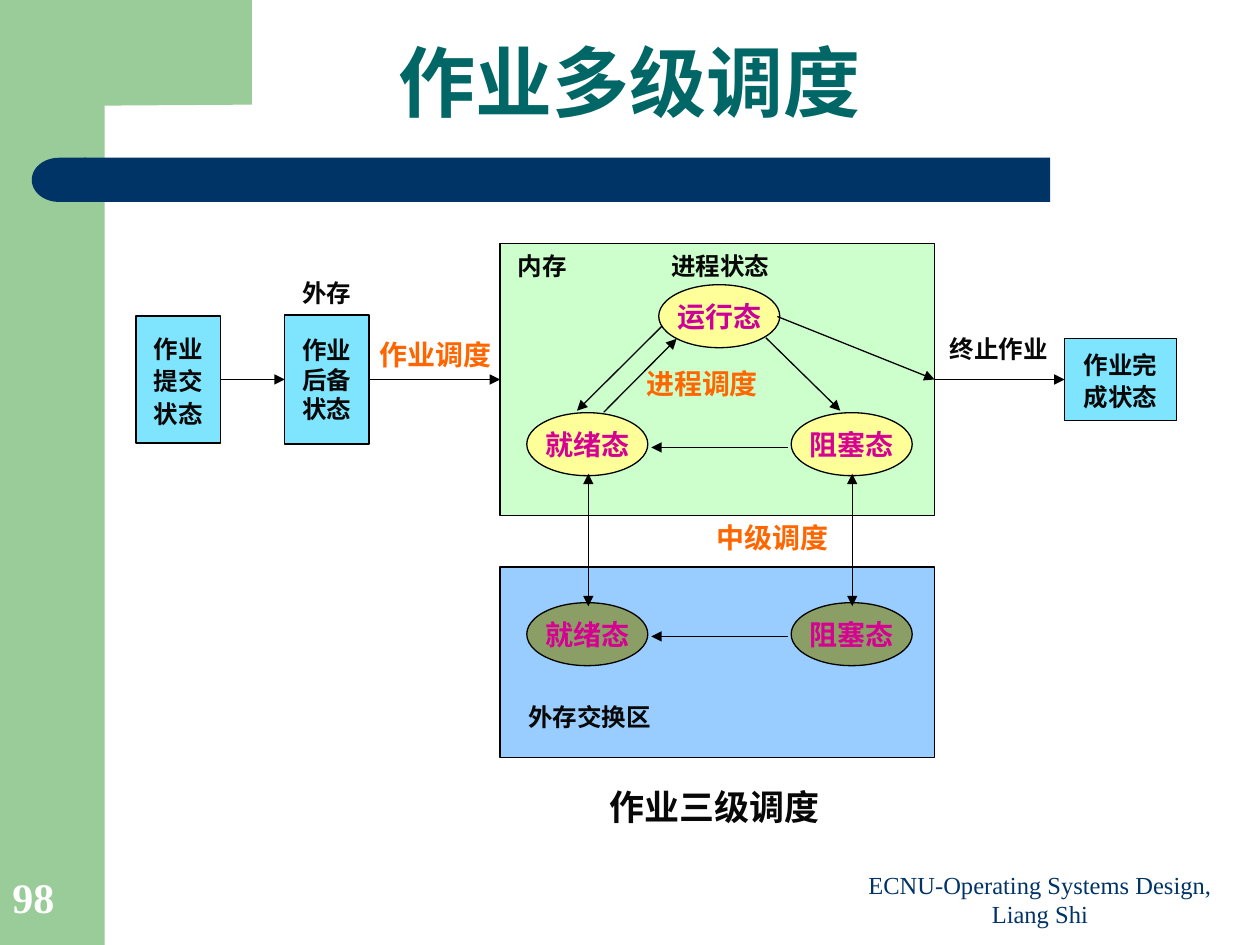
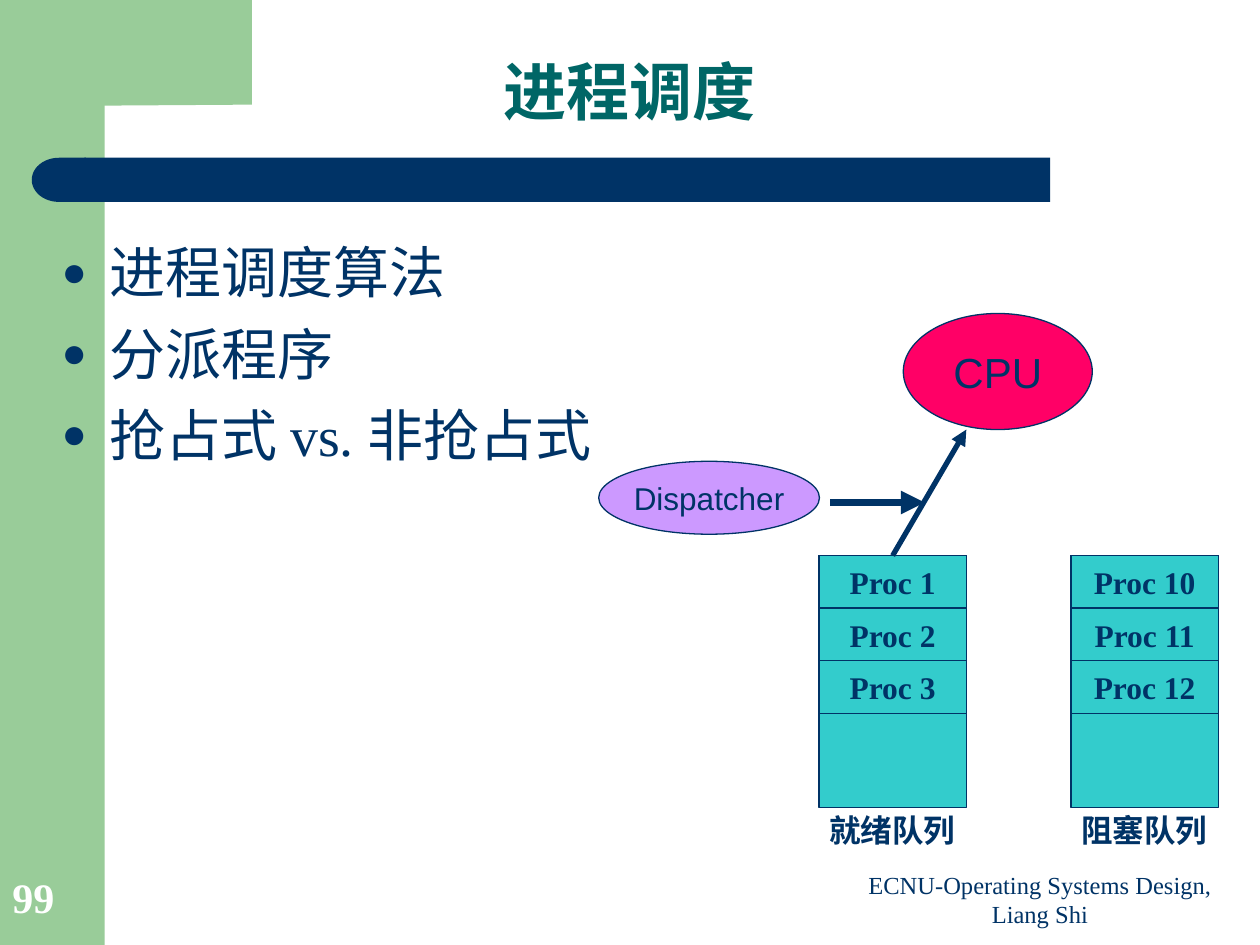
from lxml import etree
from pptx import Presentation
from pptx.dml.color import RGBColor
from pptx.enum.shapes import MSO_CONNECTOR, MSO_SHAPE
from pptx.enum.text import MSO_ANCHOR, MSO_AUTO_SIZE, PP_ALIGN
from pptx.oxml.ns import qn
from pptx.shapes.autoshape import Shape
from pptx.util import Cm, Pt

RECTANGLE, OVAL, DELAY = MSO_SHAPE.RECTANGLE, MSO_SHAPE.OVAL, MSO_SHAPE.FLOWCHART_DELAY
STRAIGHT = MSO_CONNECTOR.STRAIGHT
LEFT, CENTER = PP_ALIGN.LEFT, PP_ALIGN.CENTER
TOP, MIDDLE, BOTTOM = MSO_ANCHOR.TOP, MSO_ANCHOR.MIDDLE, MSO_ANCHOR.BOTTOM
NO_FIT = MSO_AUTO_SIZE.NONE
SIDE_TOP, SIDE_LEFT, SIDE_RIGHT = 0, 1, 3

NAVY = RGBColor(0x00, 0x33, 0x66)
GREEN = RGBColor(0x99, 0xCC, 0x99)
TEAL = RGBColor(0x00, 0x66, 0x66)
WHITE = RGBColor(0xFF, 0xFF, 0xFF)
BLACK = RGBColor(0x00, 0x00, 0x00)
INK = RGBColor(0x08, 0x08, 0x08)
ORANGE = RGBColor(0xFF, 0x66, 0x00)
MAGENTA = RGBColor(0xD6, 0x00, 0x93)
PURPLE = RGBColor(0xCC, 0x00, 0x99)
MEMORY_GREEN = RGBColor(0xCC, 0xFF, 0xCC)
SWAP_BLUE = RGBColor(0x99, 0xCC, 0xFF)
JOB_CYAN = RGBColor(0x00, 0xCC, 0xFF)
STATE_YELLOW = RGBColor(0xFF, 0xFF, 0x99)
OLIVE = RGBColor(0x80, 0x80, 0x00)
QUEUE_TEAL = RGBColor(0x33, 0xCC, 0xCC)
CPU_RED = RGBColor(0xFF, 0x00, 0x66)
LILAC = RGBColor(0xCC, 0x99, 0xFF)

SANS, SERIF, CHINESE = "Arial", "Times New Roman", "Noto Sans CJK SC"
TITLE_ONLY, TITLE_AND_BODY = 5, 1
FOOTER = "ECNU-Operating Systems Design, Liang Shi"


def write(para, text, size=14, font=SANS, color=INK, bold=False):
    """Append one formatted span to a paragraph."""
    span = para.add_run()
    span.text = text
    span.font.size = Pt(size)
    span.font.name = font
    span.font.bold = bold
    span.font.color.rgb = color
    properties = span.font._element
    etree.SubElement(properties, qn("a:ea"), typeface=CHINESE)


def place(shape, left, top, width, height):
    shape.left, shape.top = Cm(left), Cm(top)
    shape.width, shape.height = Cm(width), Cm(height)


def prepare(frame, anchor=TOP, wrap=False):
    frame.auto_size = NO_FIT
    frame.word_wrap = wrap
    frame.vertical_anchor = anchor
    return frame.paragraphs[0]


def add_bullet(para):
    properties = para._p.get_or_add_pPr()
    properties.set("marL", str(Cm(0.96)))
    properties.set("indent", str(-Cm(0.96)))
    color = etree.SubElement(properties, qn("a:buClr"))
    etree.SubElement(color, qn("a:srgbClr"), val=str(NAVY))
    etree.SubElement(properties, qn("a:buSzPct"), val="75000")
    etree.SubElement(properties, qn("a:buChar"), char="●")


class Lecture:
    """The deck's style together with the slide being filled."""

    def __init__(self, first_number):
        self.deck = Presentation()
        self.deck.slide_width, self.deck.slide_height = Cm(25.4), Cm(19.05)
        self.number = first_number
        self.slide = None

    def start_page(self, layout, title, area, size):
        self.slide = self.deck.slides.add_slide(self.deck.slide_layouts[layout])
        if len(self.deck.slides) == 1:
            self.decorate_master()
        heading = self.slide.shapes.title
        place(heading, *area)
        para = prepare(heading.text_frame, BOTTOM, wrap=True)
        para.alignment, para.line_spacing = CENTER, 0.9
        write(para, title, size=size, color=TEAL, bold=True)
        self.label(FOOTER, (16.94, 17.53, 8.05, 1.32), anchor=BOTTOM, wrap=True,
                   font=SERIF, color=NAVY)
        self.label(str(self.number), (0, 17.35, 2.08, 1.35), anchor=BOTTOM, wrap=True,
                   align=LEFT, size=24, font=SERIF, color=WHITE, bold=True)
        self.number += 1

    def decorate_master(self):
        """Draw the shared bands and move them behind every slide."""
        corner = [(5.08, 0), (5.08, 2.11), (2.11, 2.13), (1.96, 2.16), (1.85, 2.29),
                  (1.78, 2.46), (1.73, 2.64), (1.7, 2.95), (1.7, 3.25), (1.27, 3.25),
                  (1.27, 0)]
        points = [(Cm(x), Cm(y)) for x, y in corner]
        builder = self.slide.shapes.build_freeform(*points[0])
        builder.add_line_segments(points[1:])
        bands = [
            self.box((0, 0, 2.11, 19.05), GREEN, line=None),
            self.paint(builder.convert_to_shape(), GREEN, line=None),
            self.box((1.7, 3.18, 19.47, 0.89), NAVY, line=None),
            self.box((0.64, 3.18, 1.09, 0.89), NAVY, kind=DELAY, line=None),
        ]
        bands[-1].rotation = 180
        tree = self.deck.slide_master.shapes.element
        for index, band in enumerate(bands):
            band.element.nvSpPr.cNvPr.id = 101 + index
            tree.insert(2 + index, band.element)

    def paint(self, shape, fill, line=BLACK, opacity=100):
        shape.shadow.inherit = False
        shape.fill.solid()
        shape.fill.fore_color.rgb = fill
        if opacity < 100:
            color = shape.element.spPr.find(qn("a:solidFill"))[0]
            etree.SubElement(color, qn("a:alpha"), val=str(opacity * 1000))
        if line is None:
            shape.line.fill.background()
        else:
            shape.line.color.rgb = line
            shape.line.width = Pt(0.75)
        return shape

    def box(self, area, fill, text="", kind=RECTANGLE, line=BLACK, opacity=100,
            wrap=False, spacing=1.0, **style):
        shape = self.slide.shapes.add_shape(kind, *map(Cm, area))
        self.paint(shape, fill, line, opacity)
        if text:
            para = prepare(shape.text_frame, MIDDLE, wrap)
            para.alignment, para.line_spacing = CENTER, spacing
            write(para, text, **style)
        return shape

    def label(self, text, area, anchor=TOP, wrap=False, align=CENTER, **style):
        frame = self.slide.shapes.add_textbox(*map(Cm, area)).text_frame
        para = prepare(frame, anchor, wrap)
        para.alignment = align
        write(para, text, **style)

    def arrow(self, start, end, color=BLACK, width=0.75, both=False):
        """Join two ends, each a point in cm or a (box, side) pair."""
        line = self.slide.shapes.add_connector(STRAIGHT, 0, 0, 0, 0)
        if isinstance(start[0], Shape):
            line.begin_connect(*start)
        else:
            line.begin_x, line.begin_y = map(Cm, start)
        if isinstance(end[0], Shape):
            line.end_connect(*end)
        else:
            line.end_x, line.end_y = map(Cm, end)
        line.line.color.rgb = color
        line.line.width = Pt(width)
        properties = line.element.spPr
        outline = properties.find(qn("a:ln"))
        for tip in ("a:headEnd", "a:tailEnd") if both else ("a:tailEnd",):
            etree.SubElement(outline, qn(tip), type="triangle")
        etree.SubElement(properties, qn("a:effectLst"))

    def bullets(self, items, area):
        """Fill the body with items, each a list of (text, font) spans."""
        body = self.slide.placeholders[1]
        place(body, *area)
        frame = body.text_frame
        para = prepare(frame, TOP, wrap=True)
        for index, spans in enumerate(items):
            if index:
                para = frame.add_paragraph()
            add_bullet(para)
            para.space_before = Pt(8 if index else 0)
            for text, font in spans:
                write(para, text, size=32, font=font, color=NAVY)

    def state(self, text, left, top, fill=STATE_YELLOW, color=MAGENTA, opacity=100):
        self.box((left, top, 2.44, 1.27), fill, text, kind=OVAL, opacity=opacity,
                 size=16, color=color, bold=True)

    def queue(self, name, left, processes):
        """Draw a queue with its first cells filled; return the first cell."""
        top, width, row = 11.2, 2.97, 1.06
        self.box((left, top, width, 5.08), QUEUE_TEAL, line=NAVY)
        cells = [self.box((left, top + index * row, width, row), QUEUE_TEAL, process,
                          line=NAVY, size=18, font=SERIF, color=NAVY, bold=True)
                 for index, process in enumerate(processes)]
        self.label(name, (left - 0.05, top + 5.03, 3.05, 1.02), size=18, color=NAVY,
                   bold=True)
        return cells[0]


def draw_job_levels(lecture):
    lecture.start_page(TITLE_ONLY, "作业多级调度", (0.15, 0.69, 25.1, 2.03), 44)

    memory = lecture.box((10.08, 4.91, 8.76, 5.48), MEMORY_GREEN)
    lecture.box((10.08, 11.43, 8.76, 3.84), SWAP_BLUE)
    ready_left, blocked_left = 10.62, 15.95
    lecture.state("运行态", 13.28, 5.74, color=PURPLE)
    for text, left in (("就绪态", ready_left), ("阻塞态", blocked_left)):
        lecture.state(text, left, 8.32)
        lecture.state(text, left, 12.15, fill=OLIVE, opacity=60)

    job = {"opacity": 50, "wrap": True, "bold": True}
    submitted = lecture.box((2.74, 6.37, 1.7, 2.56), JOB_CYAN, "作业提交状态",
                            spacing=1.1, **job)
    waiting = lecture.box((5.74, 6.35, 1.7, 2.6), JOB_CYAN, "作业后备状态", **job)
    finished = lecture.box((21.46, 6.82, 2.26, 1.66), JOB_CYAN, "作业完成状态",
                           spacing=1.1, **job)

    lecture.arrow((submitted, SIDE_RIGHT), (waiting, SIDE_LEFT))
    lecture.arrow((waiting, SIDE_RIGHT), (memory, SIDE_LEFT))
    lecture.arrow((memory, SIDE_RIGHT), (finished, SIDE_LEFT))
    lecture.arrow((15.67, 6.38), (memory, SIDE_RIGHT))
    lecture.arrow((13.34, 6.58), (11.63, 8.28))
    lecture.arrow((12.17, 8.31), (13.64, 6.83))
    lecture.arrow((15.44, 6.81), (16.94, 8.28))
    for y in (9.02, 12.83):
        lecture.arrow((15.88, y), (13.13, y))
    for x in (11.86, 17.18):
        lecture.arrow((x, 9.55), (x, 12.22), both=True)

    for text, left, top, width in (
        ("进程状态", 13.23, 4.93, 2.59),
        ("内存", 10.08, 4.93, 1.7),
        ("外存", 5.74, 5.49, 1.7),
        ("终止作业", 18.85, 6.6, 2.57),
        ("外存交换区", 10.34, 14.02, 3.1),
    ):
        lecture.label(text, (left, top, width, 0.86), bold=True)
    for text, left, top, width in (
        ("进程调度", 12.67, 7.26, 2.97),
        ("作业调度", 7.29, 6.68, 2.97),
        ("中级调度", 13.97, 10.36, 3.2),
    ):
        lecture.label(text, (left, top, width, 0.94), size=16, color=ORANGE, bold=True)
    lecture.label("作业三级调度", (11.86, 15.72, 5.08, 1.12), size=20, bold=True)


def draw_process_scheduling(lecture):
    lecture.start_page(TITLE_AND_BODY, "进程调度", (0.13, 0.89, 25.12, 1.85), 36)
    lecture.bullets([
        [("进程调度算法", CHINESE)],
        [("分派程序", CHINESE)],
        [("抢占式 ", CHINESE), ("vs. ", SERIF), ("非抢占式", CHINESE)],
    ], (0.99, 4.67, 13.74, 5.28))

    first_ready = lecture.queue("就绪队列", 16.51, ["Proc 1", "Proc 2", "Proc 3"])
    lecture.queue("阻塞队列", 21.59, ["Proc 10", "Proc 11", "Proc 12"])
    lecture.box((18.21, 6.32, 3.81, 2.34), CPU_RED, "CPU", kind=OVAL, line=NAVY,
                size=24, color=NAVY)
    lecture.box((12.07, 9.3, 4.45, 1.47), LILAC, "Dispatcher", kind=OVAL, line=NAVY,
                size=18, color=NAVY)
    lecture.arrow((first_ready, SIDE_TOP), (19.48, 8.66), color=NAVY, width=3)
    lecture.arrow((16.74, 10.13), (18.64, 10.13), color=NAVY, width=4.5)


def main():
    lecture = Lecture(first_number=98)
    draw_job_levels(lecture)
    draw_process_scheduling(lecture)
    lecture.deck.save("out.pptx")


if __name__ == "__main__":
    main()
